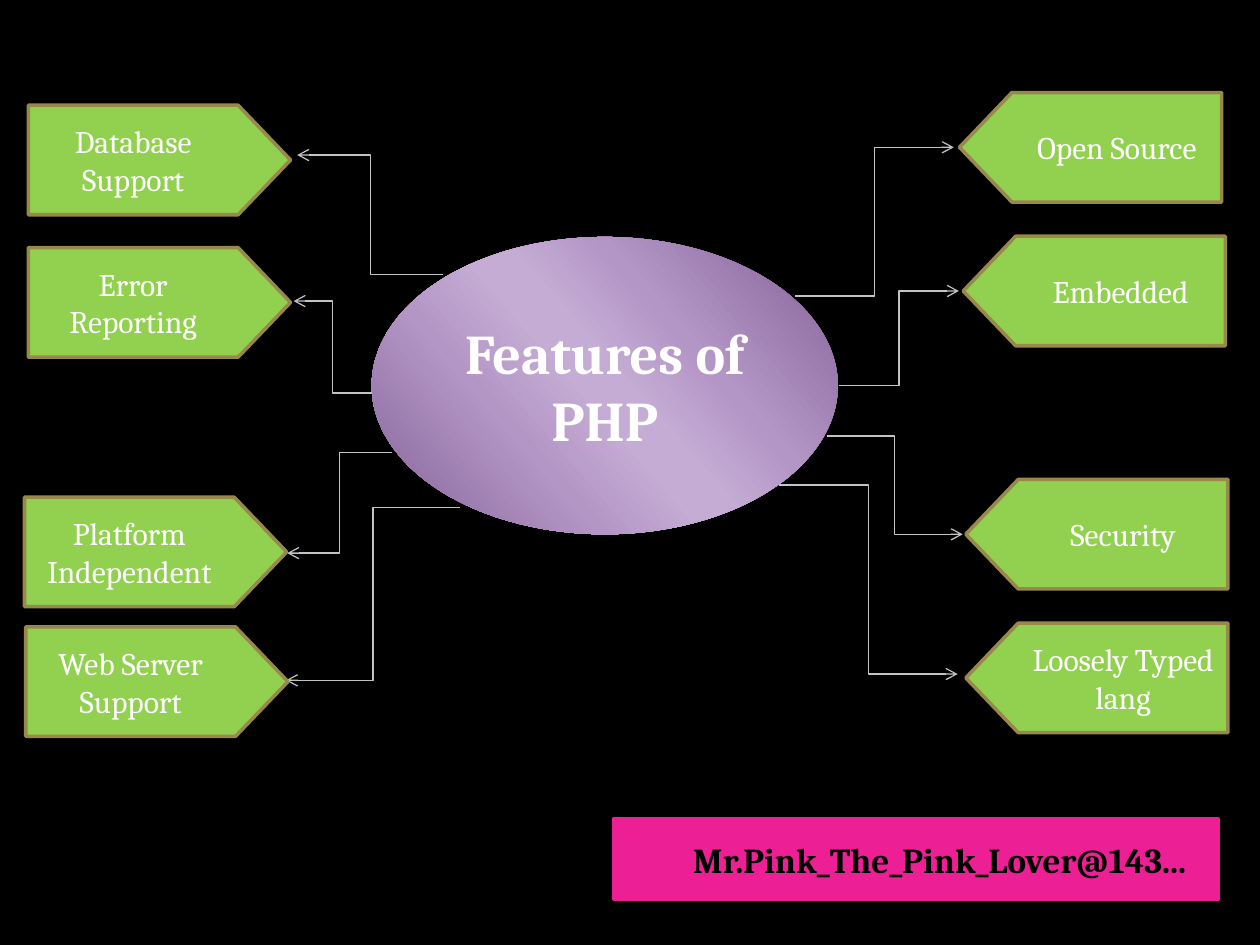
from lxml import etree
from pptx import Presentation, util as u
from pptx.dml.color import RGBColor
from pptx.enum import shapes, text
from pptx.oxml.ns import qn

# Content: label, tag centre, arrow start, arrow end (points)
LEFT = [
    ("Database Support", (91.1, 91.4), (253.4, 157), (169.9, 88.6)),
    ("Error Reporting", (91.1, 172.8), (212.4, 224.6), (167.8, 172.1)),
    ("Platform Independent", (88.9, 315.4), (223.9, 258.5), (164.2, 316.1)),
    ("Web Server Support", (89.6, 389.5), (262.8, 290.2), (163.4, 388.8)),
]
RIGHT = [
    ("Open Source", (623.2, 84.2), (454.3, 169.2), (545, 84.2)),
    ("Embedded", (625.3, 166.3), (479.5, 220.3), (547.9, 166.3)),
    ("Security", (626.8, 305.3), (472.3, 249.1), (550.1, 305.3)),
    ("Loosely Typed lang", (626.8, 387.4), (445, 277.2), (547.2, 385.2)),
]
# Each side: items, tag rotation, text direction that keeps words level
SIDES = [(LEFT, 270, "vert"), (RIGHT, 90, "vert270")]
STOPS = [(0, "836196"), (33, "B395C6"), (47, "C4ACD4"),
         (53, "C4ACD4"), (68, "B496C6"), (100, "836196")]
TAG_W, TAG_H = 62.6, 149.8
KIND = shapes.MSO_SHAPE


def color(code):
    return RGBColor.from_string(code)


def write(shape, words, size=18, ink="FFFFFF", bold=False, turn=None, left=7.2):
    frame = shape.text_frame
    frame.word_wrap = True
    frame.vertical_anchor = text.MSO_ANCHOR.MIDDLE
    frame.margin_left = u.Pt(left)
    if turn:
        shape.element.txBody.bodyPr.set("vert", turn)
    para = frame.paragraphs[0]
    para.alignment = text.PP_ALIGN.CENTER
    run = para.add_run()
    run.text = words
    font = run.font
    font.name, font.size, font.bold = "Cambria", u.Pt(size), bold
    font.color.rgb = color(ink)


def draw(slide, kind, x, y, w, h, fill=None, line=None):
    shape = slide.shapes.add_shape(kind, u.Pt(x), u.Pt(y), u.Pt(w), u.Pt(h))
    shape.shadow.inherit = False
    if fill:
        shape.fill.solid()
        shape.fill.fore_color.rgb = color(fill)
    if line:
        shape.line.color.rgb = color(line)
        shape.line.width = u.Pt(2)
    else:
        shape.line.fill.background()
    return shape


def blend(shape, stops, angle):
    shape.fill.gradient()
    shape.fill.gradient_angle = angle
    steps = shape.element.spPr.find(qn("a:gradFill")).find(qn("a:gsLst"))
    steps.clear()
    for place, code in stops:
        stop = etree.SubElement(steps, qn("a:gs"), pos=str(place * 1000))
        etree.SubElement(stop, qn("a:srgbClr"), val=code)


def link(slide, start, end):
    ends = [u.Pt(n) for n in (*start, *end)]
    wire = slide.shapes.add_connector(shapes.MSO_CONNECTOR.ELBOW, *ends)
    wire.line.color.rgb = color("C3C2C5")
    wire.line.width = u.Pt(0.75)
    props = wire.element.spPr
    etree.SubElement(props.find(qn("a:ln")), qn("a:tailEnd"), type="arrow")
    etree.SubElement(props, qn("a:effectLst"))


def main():
    deck = Presentation()
    deck.slide_width, deck.slide_height = u.Pt(720), u.Pt(540)
    slide = deck.slides.add_slide(deck.slide_layouts[6])
    back = slide.background.fill
    back.solid()
    back.fore_color.rgb = color("000000")

    # Central topic
    hub = draw(slide, KIND.OVAL, 212.4, 135.4, 266.4, 169.9)
    blend(hub, STOPS, 221)
    write(hub, "Features of PHP", size=32, bold=True)

    # Feature tags and their arrows
    for items, angle, turn in SIDES:
        for label, (x, y), start, end in items:
            link(slide, start, end)
            tag = draw(slide, KIND.FLOWCHART_OFFPAGE_CONNECTOR,
                       x - TAG_W / 2, y - TAG_H / 2, TAG_W, TAG_H,
                       fill="92D050", line="98894B")
            tag.rotation = angle
            write(tag, label, turn=turn)

    # Signature bar
    bar = draw(slide, KIND.RECTANGLE, 350.6, 468, 345.6, 46.1,
               fill="ED1F95", line="ED1F95")
    write(bar, "Mr.Pink_The_Pink_Lover@143...", size=20, ink="000000",
          bold=True, left=34.6)

    deck.save("out.pptx")


if __name__ == "__main__":
    main()
